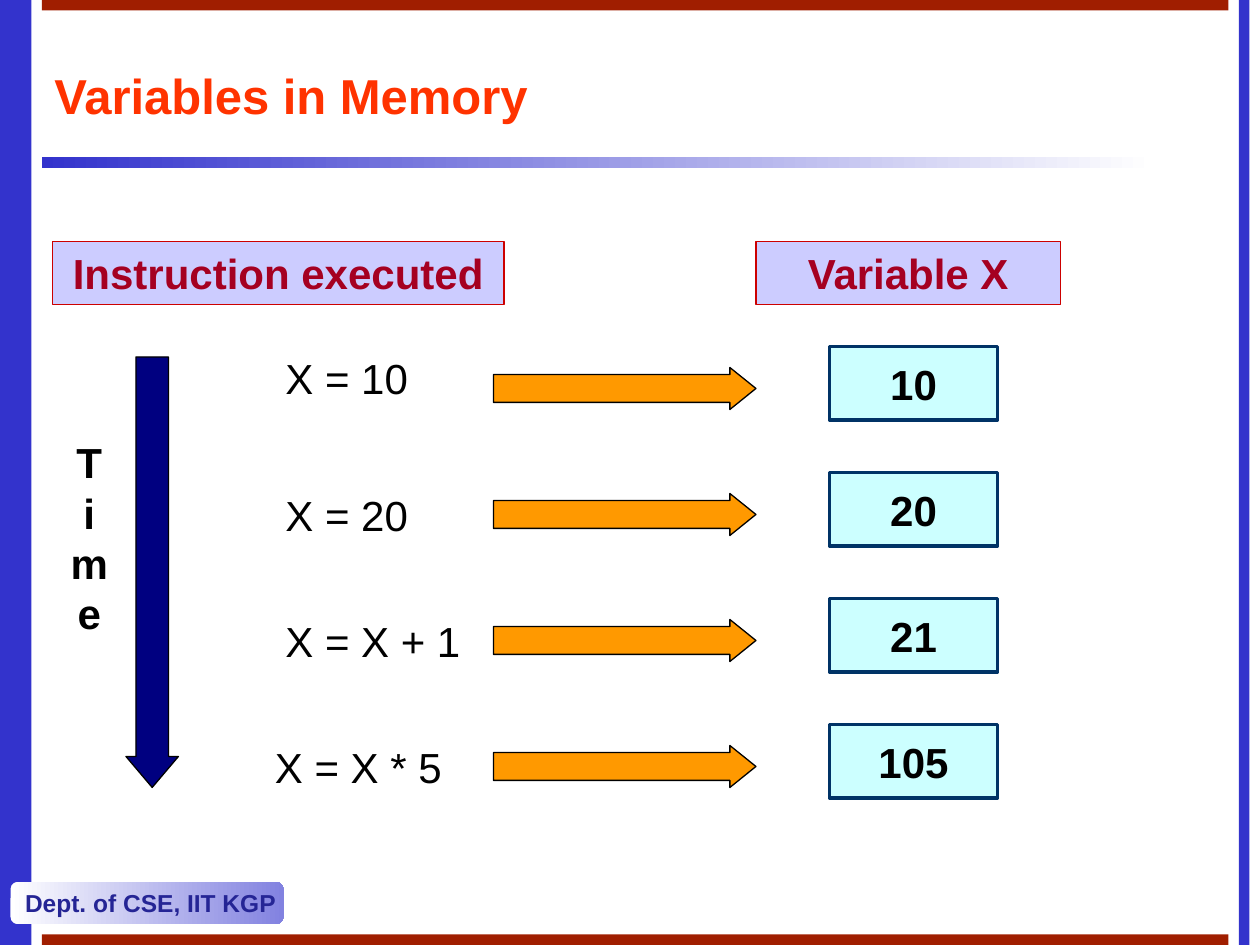
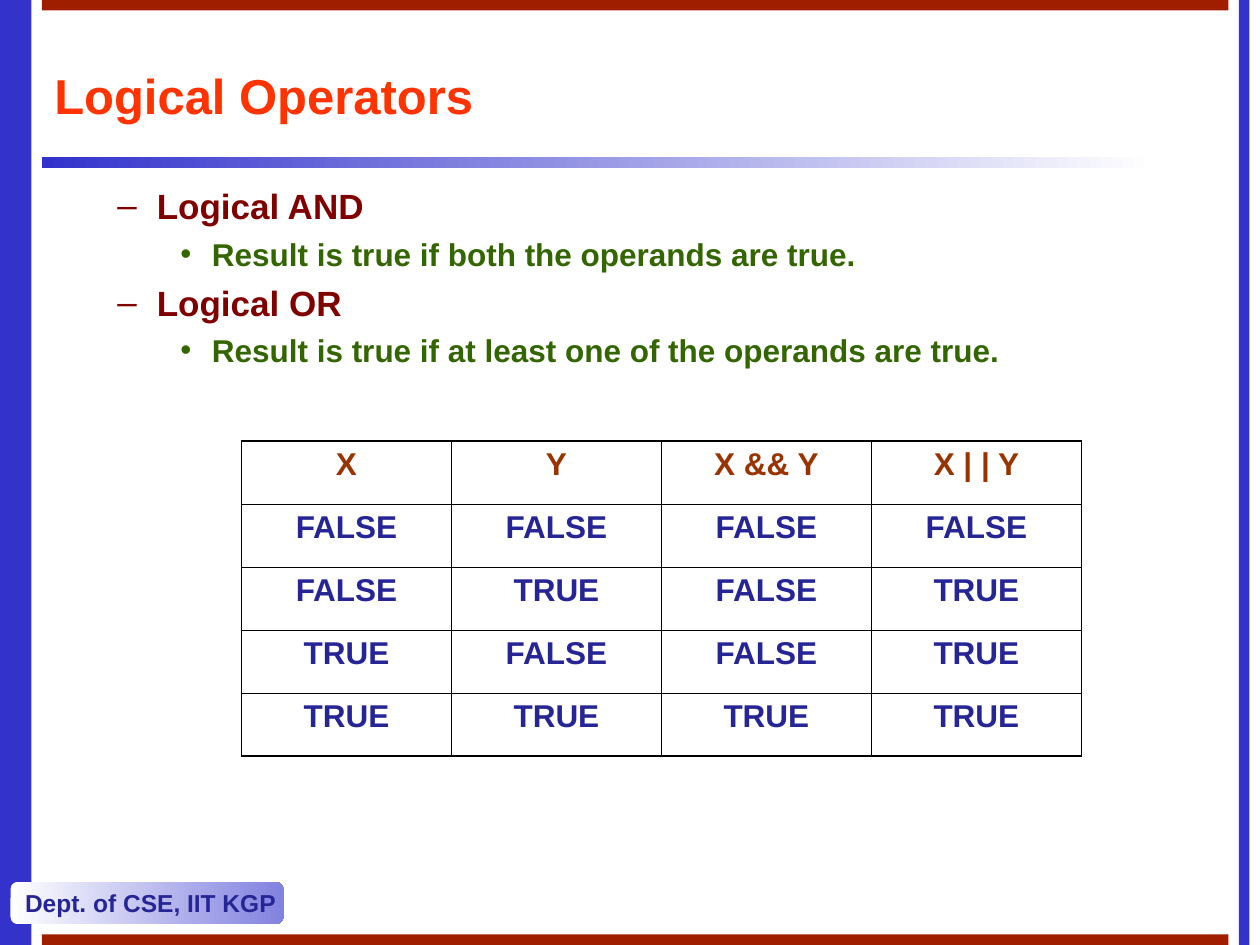
from lxml.etree import SubElement
from pptx import Presentation
from pptx.dml.color import RGBColor
from pptx.enum.shapes import MSO_SHAPE
from pptx.enum.text import MSO_ANCHOR, PP_ALIGN
from pptx.oxml.ns import qn
from pptx.util import Pt

COLORS = {
    "band": "3333CC", "bar": "A01E00", "white": "FFFFFF", "black": "000000",
    "badge": "8282E0", "navy": "252595", "title": "FF3300",
    "label_fill": "CCCCFF", "label_line": "CC0000", "label_text": "A50021",
    "cell_fill": "CCFFFF", "cell_line": "003366", "arrow": "FF9900",
    "time": "000080", "maroon": "800000", "green": "336600", "head": "993300",
}
FONT = "Arial"
STEPS = [
    ("X = 10", "10", 156, 198),
    ("X = 20", "20", 156, 276),
    ("X = X + 1", "21", 156, 348),
    ("X = X * 5", "105", 150, 420),
]
BULLETS = [
    (1, "Logical AND"),
    (2, "Result is true if both the operands are true."),
    (1, "Logical OR"),
    (2, "Result is true if at least one of the operands are true."),
]
LEVELS = {
    1: ("–", 58.5, -22.5, 5, 20, "maroon"),
    2: ("•", 90, -18, 4.5, 18, "green"),
}
TRUTH = [
    ("X", "Y", "X && Y", "X | | Y"),
    ("FALSE", "FALSE", "FALSE", "FALSE"),
    ("FALSE", "TRUE", "FALSE", "TRUE"),
    ("TRUE", "FALSE", "FALSE", "TRUE"),
    ("TRUE", "TRUE", "TRUE", "TRUE"),
]


def rgb(name):
    """Return the named colour."""
    return RGBColor.from_string(COLORS[name])


def add_run(p, text, size, color, bold=True):
    """Append one formatted run to a paragraph."""
    r = p.add_run()
    r.text = text
    r.font.name, r.font.size, r.font.bold = FONT, Pt(size), bold
    r.font.color.rgb = rgb(color)


def write(tf, lines, size, color, bold=True, align=PP_ALIGN.LEFT,
          anchor=MSO_ANCHOR.TOP, wrap=True):
    """Fill a text frame with one paragraph per line."""
    tf.word_wrap = wrap
    tf.vertical_anchor = anchor
    for i, line in enumerate(lines):
        p = tf.add_paragraph() if i else tf.paragraphs[0]
        p.alignment = align
        add_run(p, line, size, color, bold)


def add_text(s, box, lines, size, color, **style):
    """Add a text box."""
    sp = s.shapes.add_textbox(*map(Pt, box))
    write(sp.text_frame, lines, size, color, **style)


def add_block(shapes, kind, box, fill, line=None, width=0.75, adj=()):
    """Add a preset shape; a pair of fill colours makes a gradient."""
    sp = shapes.add_shape(kind, *map(Pt, box))
    sp.shadow.inherit = False
    for i, value in enumerate(adj):
        sp.adjustments[i] = value
    if isinstance(fill, tuple):
        sp.fill.gradient()
        sp.fill.gradient_angle = 0
        for stop, name in zip(sp.fill.gradient_stops, fill):
            stop.color.rgb = rgb(name)
    else:
        sp.fill.solid()
        sp.fill.fore_color.rgb = rgb(fill)
    if line:
        sp.line.color.rgb = rgb(line)
        sp.line.width = Pt(width)
    else:
        sp.line.fill.background()
    return sp


def add_frame(prs, title, title_width):
    """Add a slide with the shared bands, badge and title."""
    s = prs.slides.add_slide(prs.slide_layouts[6])
    rect = MSO_SHAPE.RECTANGLE
    add_block(s.shapes, rect, (0, 0, 18, 540), "band")
    add_block(s.shapes, rect, (24, 90, 636, 6), ("band", "white"))
    sp = add_block(s.shapes, MSO_SHAPE.ROUNDED_RECTANGLE, (6, 504, 156, 24),
                   ("white", "badge"), adj=(0.17,))
    write(sp.text_frame, ["Dept. of CSE, IIT KGP"], 14, "navy",
          anchor=MSO_ANCHOR.MIDDLE, wrap=False)
    add_block(s.shapes, rect, (708, 0, 6, 540), "band")
    for y in (0, 534):
        add_block(s.shapes, rect, (24, y, 678, 6), "bar")
    add_text(s, (24, 24, title_width, 60), [title], 28, "title",
             anchor=MSO_ANCHOR.MIDDLE)
    return s


def add_label(s, x, width, text):
    """Add a column heading box."""
    sp = add_block(s.shapes, MSO_SHAPE.RECTANGLE, (x, 138, width, 36),
                   "label_fill", "label_line")
    write(sp.text_frame, [text], 24, "label_text", align=PP_ALIGN.CENTER)


def add_memory(s, y, value):
    """Add a grouped arrow and memory cell."""
    shapes = s.shapes.add_group_shape().shapes
    sp = add_block(shapes, MSO_SHAPE.RECTANGLE, (474, y, 96, 42),
                   "cell_fill", "cell_line", 2)
    write(sp.text_frame, [value], 24, "black", align=PP_ALIGN.CENTER,
          anchor=MSO_ANCHOR.MIDDLE, wrap=False)
    add_block(shapes, MSO_SHAPE.RIGHT_ARROW, (282, y + 12, 150, 24),
              "arrow", "black", adj=(0.66, 0.62))


def add_bullets(s, box, items):
    """Add a two-level bulleted list."""
    tf = s.shapes.add_textbox(*map(Pt, box)).text_frame
    tf.word_wrap = True
    for i, (level, text) in enumerate(items):
        char, margin, indent, before, size, color = LEVELS[level]
        p = tf.add_paragraph() if i else tf.paragraphs[0]
        p.level = level
        if i:
            p.space_before = Pt(before)
        pPr = p._p.get_or_add_pPr()
        pPr.set("marL", str(Pt(margin)))
        pPr.set("indent", str(Pt(indent)))
        clr = SubElement(pPr, qn("a:buClr"))
        SubElement(clr, qn("a:srgbClr"), val=COLORS[color])
        SubElement(pPr, qn("a:buFont"), typeface=FONT)
        SubElement(pPr, qn("a:buChar"), char=char)
        add_run(p, text, size, color)


def set_borders(cell, outer):
    """Draw the cell's borders, thicker on the sides named in outer."""
    tcPr = cell._tc.get_or_add_tcPr()
    for side in "LRTB":
        width = Pt(1.08 if side in outer else 0.45)
        ln = SubElement(tcPr, qn("a:ln" + side), w=str(width))
        fill = SubElement(ln, qn("a:solidFill"))
        SubElement(fill, qn("a:srgbClr"), val=COLORS["black"])


def add_truth_table(s, x, y, col_width, row_height, rows):
    """Add a bordered table with a coloured heading row."""
    n, m = len(rows), len(rows[0])
    table = s.shapes.add_table(n, m, Pt(x), Pt(y), Pt(m * col_width),
                               Pt(n * row_height)).table
    table.first_row = table.horz_banding = False
    for i, row in enumerate(rows):
        for j, text in enumerate(row):
            cell = table.cell(i, j)
            edges = {"L": j == 0, "R": j == m - 1, "T": i == 0, "B": i == n - 1}
            set_borders(cell, [side for side in edges if edges[side]])
            cell.fill.background()
            p = cell.text_frame.paragraphs[0]
            p.alignment = PP_ALIGN.CENTER
            add_run(p, text, 18, "navy" if i else "head")


def add_memory_slide(prs):
    """Build the slide on variables in memory."""
    s = add_frame(prs, "Variables in Memory", 612)
    add_label(s, 30, 258, "Instruction executed")
    add_label(s, 432, 174, "Variable X")
    add_block(s.shapes, MSO_SHAPE.DOWN_ARROW, (72, 204, 30, 246),
              "time", "black", adj=(0.62, 0.59))
    add_text(s, (24, 246, 54, 166), "Time", 24, "black",
             align=PP_ALIGN.CENTER)
    for i, (code, value, x, y) in enumerate(STEPS):
        add_text(s, (x, y, 120, 36), [code], 24, "black", bold=False)
        add_memory(s, 198 + 72 * i, value)


def add_logic_slide(prs):
    """Build the slide on logical operators."""
    s = add_frame(prs, "Logical Operators", 678)
    add_bullets(s, (24, 102, 678, 396), BULLETS)
    add_truth_table(s, 138, 252, 120, 36, TRUTH)


def main():
    """Build and save the presentation."""
    prs = Presentation()
    prs.slide_width, prs.slide_height = Pt(720), Pt(540)
    add_memory_slide(prs)
    add_logic_slide(prs)
    prs.save("out.pptx")


if __name__ == "__main__":
    main()
